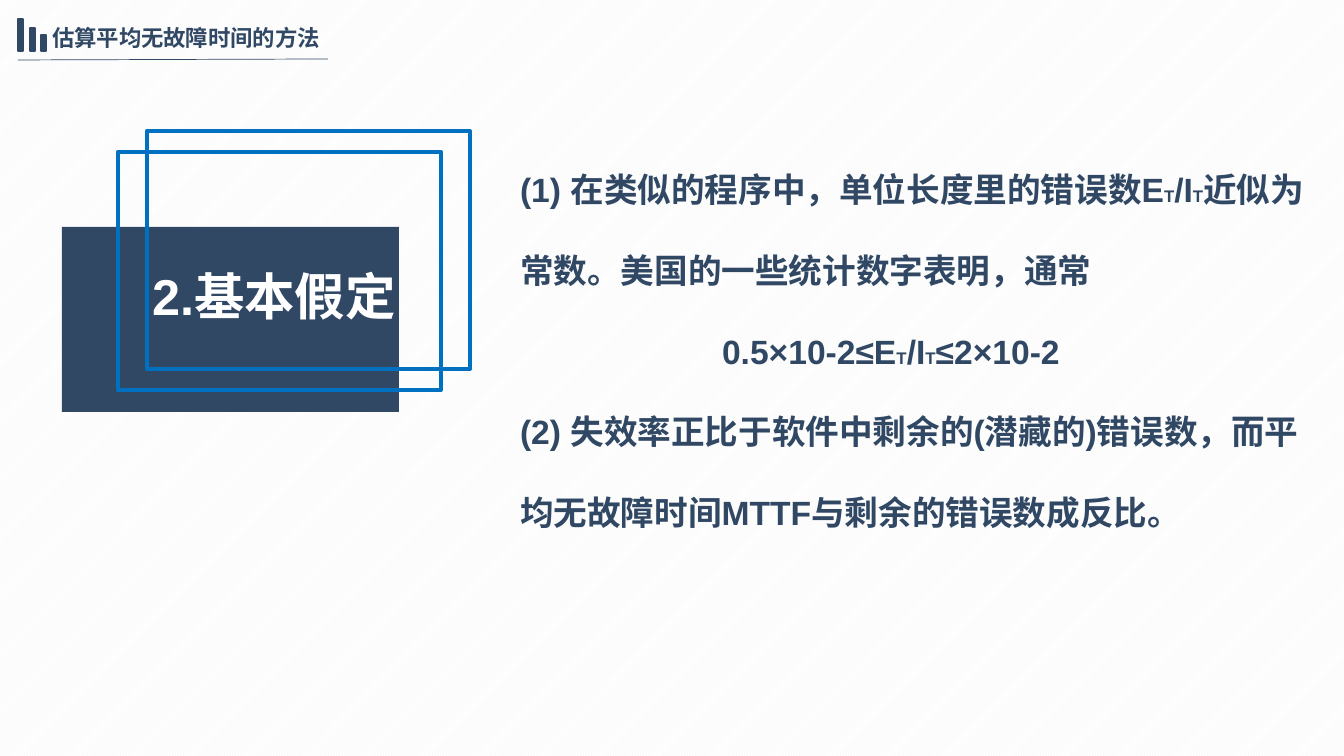
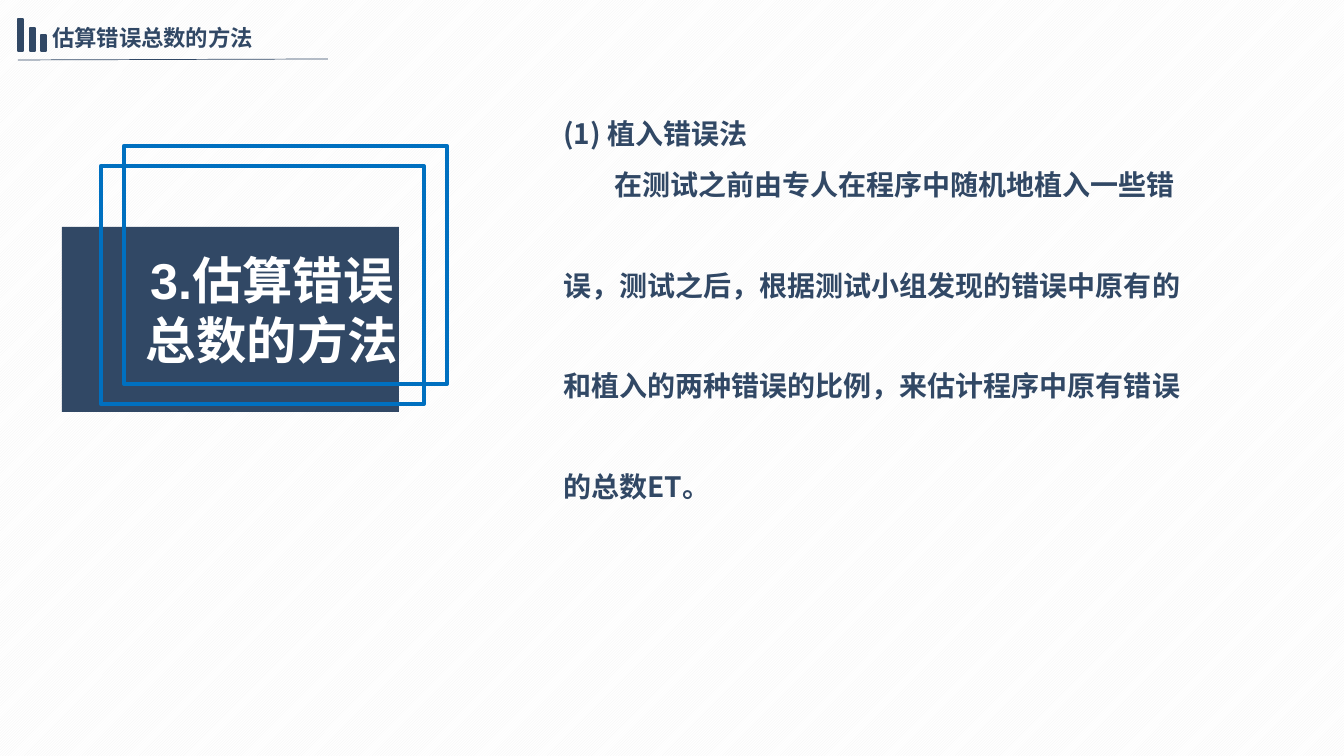
from dataclasses import dataclass
from lxml.etree import SubElement
from pptx import Presentation
from pptx.dml.color import RGBColor as RGB
from pptx.enum.dml import MSO_PATTERN as PATTERN
from pptx.enum.shapes import MSO_CONNECTOR as CONNECTOR, MSO_SHAPE as SHAPE
from pptx.enum.text import MSO_ANCHOR as ANCHOR, MSO_AUTO_SIZE as AUTO_SIZE, PP_ALIGN as ALIGN
from pptx.oxml.ns import qn
from pptx.util import Emu, Pt

SCALE = 914400 / 100.8


def px(pixels):
    return Emu(round(pixels * SCALE))


@dataclass(frozen=True)
class Theme:
    navy: RGB = RGB(0x31, 0x48, 0x65)
    blue: RGB = RGB(0x00, 0x70, 0xC0)
    white: RGB = RGB(0xFF, 0xFF, 0xFF)
    stripe: RGB = RGB(0xF2, 0xF2, 0xF2)
    latin: str = "Arial"
    chinese: str = "Noto Sans CJK SC"
    header: int = 16
    card: int = 36
    large: int = 24
    medium: int = 20
    small: int = 12


def write(paragraph, text, *, size, color, font, align=None, spacing=None,
          before=0, margin=0, indent=0, small=None):
    paragraph.alignment = align
    paragraph.line_spacing = spacing
    paragraph.space_before = Pt(before)
    properties = paragraph._p.get_or_add_pPr()
    properties.set("marL", str(px(margin)))
    properties.set("indent", str(px(indent)))
    SubElement(properties, qn("a:buNone"))
    for index, part in enumerate(text.split("_")):
        run = paragraph.add_run()
        run.text = part
        run.font.name = font
        run.font.bold = True
        run.font.size = Pt(small if index % 2 else size)
        run.font.color.rgb = color


class Deck:
    def __init__(self, theme):
        self.theme = theme
        self.presentation = Presentation()
        self.presentation.slide_width = px(1344)
        self.presentation.slide_height = px(756)
        self.slide = None

    def add_slide(self, title):
        layout = self.presentation.slide_layouts[1]
        self.slide = self.presentation.slides.add_slide(layout)
        fill = self.slide.background.fill
        fill.patterned()
        fill.pattern = PATTERN.DARK_UPWARD_DIAGONAL
        fill.fore_color.rgb = self.theme.stripe
        fill.back_color.rgb = self.theme.white
        self.header(title)

    def frame(self, shape, left, top, width, height):
        shape.left, shape.top = px(left), px(top)
        shape.width, shape.height = px(width), px(height)
        frame = shape.text_frame
        frame.word_wrap = True
        frame.auto_size = AUTO_SIZE.NONE
        frame.vertical_anchor = ANCHOR.TOP
        return frame

    def header(self, title):
        theme = self.theme
        frame = self.frame(self.slide.shapes.title, 42, 19, 300, 37)
        write(frame.paragraphs[0], title, size=theme.header, color=theme.navy,
              font=theme.latin, align=ALIGN.JUSTIFY)
        self.rule(18, 60, 328, 59)
        for left, top in ((18, 19), (30, 28), (41, 35)):
            self.box(left, top, 5, 51 - top, fill=theme.navy, line=theme.navy, weight=1)

    def rule(self, left, top, right, bottom):
        connector = self.slide.shapes.add_connector(
            CONNECTOR.STRAIGHT, px(left), px(top), px(right), px(bottom))
        connector.line.color.rgb = self.theme.navy
        connector.line.width = Pt(0.5)
        SubElement(connector._element.spPr, qn("a:effectLst"))

    def box(self, left, top, width, height, *, fill=None, line=None, weight=3):
        shape = self.slide.shapes.add_shape(
            SHAPE.RECTANGLE, px(left), px(top), px(width), px(height))
        shape.shadow.inherit = False
        if fill is None:
            shape.fill.background()
        else:
            shape.fill.solid()
            shape.fill.fore_color.rgb = fill
        if line is None:
            shape.line.fill.background()
        else:
            shape.line.color.rgb = line
            shape.line.width = Pt(weight)

    def card(self, text, *, text_at, outlines):
        theme = self.theme
        self.box(62, 227, 337, 185, fill=theme.navy)
        for left, top in outlines:
            self.box(left, top, 323, 238, line=theme.blue)
        label = self.slide.shapes.add_textbox(0, 0, 0, 0)
        frame = self.frame(label, *text_at)
        write(frame.paragraphs[0], text, size=theme.card, color=theme.white,
              font=theme.latin, align=ALIGN.CENTER)

    def body(self, paragraphs, *, at, **style):
        frame = self.frame(self.slide.placeholders[1], *at)
        for index, (text, layout) in enumerate(paragraphs):
            paragraph = frame.add_paragraph() if index else frame.paragraphs[0]
            write(paragraph, text, color=self.theme.navy, **style, **layout)


def main():
    theme = Theme()
    deck = Deck(theme)

    deck.add_slide("估算平均无故障时间的方法")
    deck.card("2.基本假定", text_at=(128, 260, 292, 72), outlines=((118, 152), (147, 131)))
    deck.body([
        ("(1) 在类似的程序中，单位长度里的错误数E_T_/I_T_近似为常数。美国的一些统计数字表明，通常", {}),
        ("0.5×10-2≤E_T_/I_T_≤2×10-2", {"margin": 202}),
        ("(2) 失效率正比于软件中剩余的(潜藏的)错误数，而平均无故障时间MTTF与剩余的错误数成反比。", {}),
    ], at=(510, 124, 816, 500), size=theme.large, small=theme.small,
        font=theme.latin, spacing=2)

    deck.add_slide("估算错误总数的方法")
    deck.card("3.估算错误总数的方法", text_at=(126, 244, 292, 132),
              outlines=((101, 166), (124, 146)))
    gap = {"before": 36}
    deck.body([
        ("(1) 植入错误法", {}),
        ("在测试之前由专人在程序中随机地植入一些错", {"indent": 51}),
        ("误，测试之后，根据测试小组发现的错误中原有的", gap),
        ("和植入的两种错误的比例，来估计程序中原有错误", gap),
        ("的总数ET。", gap),
    ], at=(553, 95, 652, 468), size=theme.medium, font=theme.chinese, spacing=1.5)

    deck.presentation.save("out.pptx")


main()
